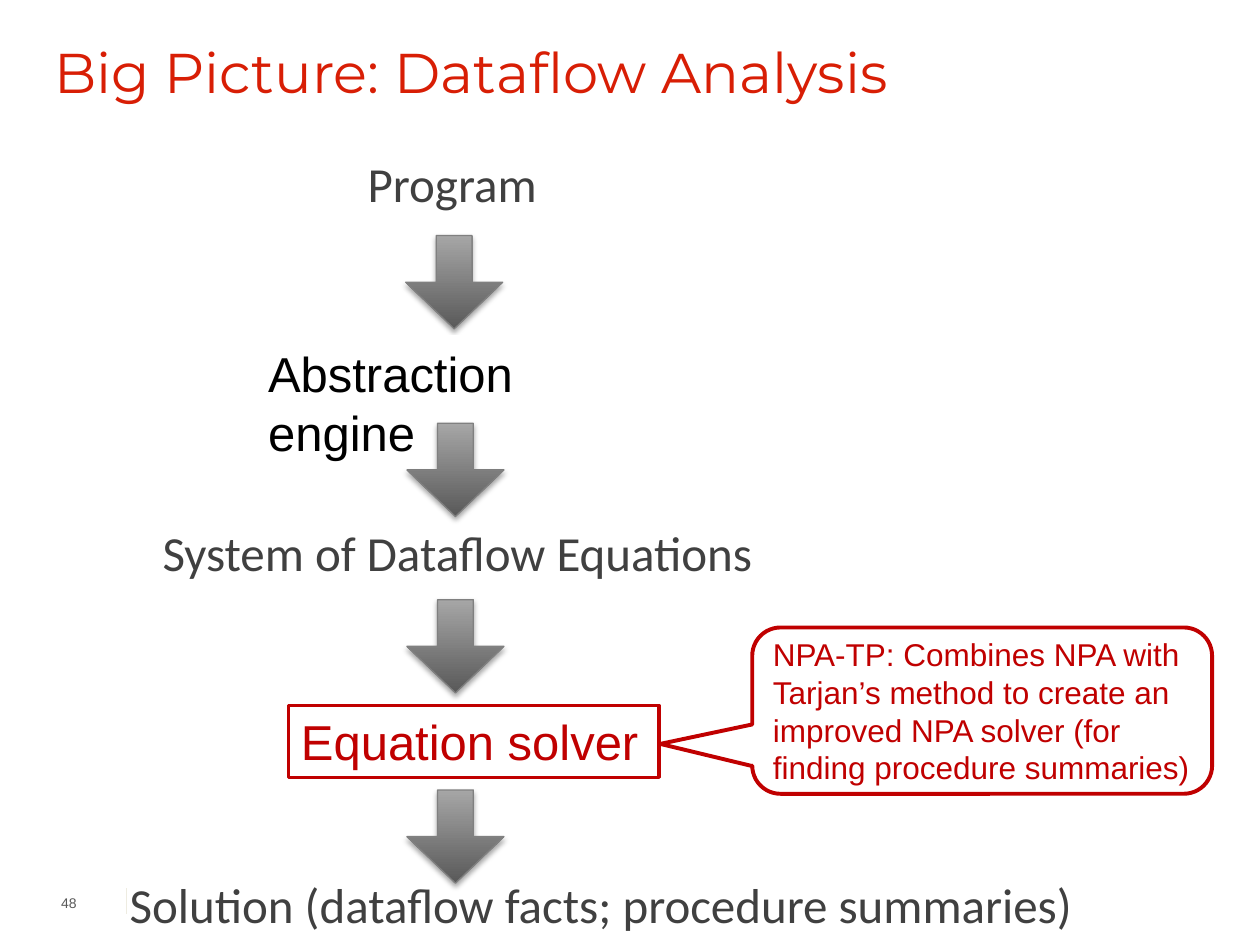
from dataclasses import dataclass
from typing import Optional

from lxml import etree
from pptx import Presentation
from pptx.dml.color import RGBColor
from pptx.enum import shapes, text
from pptx.oxml import ns, parse_xml
from pptx.util import Inches, Pt

COLORS = {
    "title": "D81E05", "stage": "404040", "solver": "C00000", "engine": "000000",
    "white": "FFFFFF", "dark": "595959", "light": "A6A6A6", "edge": "808080",
    "tick": "EEECE1",
}
SHADOW = (
    f'<a:effectLst {ns.nsdecls("a")}>'
    '<a:outerShdw blurRad="39370" dist="22860" dir="5400000" rotWithShape="0">'
    '<a:srgbClr val="000000"><a:alpha val="35000"/></a:srgbClr>'
    '</a:outerShdw></a:effectLst>'
)
ARROW_SIZE = (0.77, 0.74)


@dataclass
class Label:
    words: str
    box: tuple[float, float, float, float]
    color: str
    size: float = 28
    font: str = "Calibri"
    insets: tuple[float, float, float, float] = (0.1, 0.05, 0.1, 0.05)
    align: text.PP_ALIGN = text.PP_ALIGN.LEFT
    anchor: text.MSO_ANCHOR = text.MSO_ANCHOR.TOP


@dataclass
class Frame:
    label: Label
    line: str
    width: float
    fill: Optional[str] = None
    kind: shapes.MSO_SHAPE = shapes.MSO_SHAPE.RECTANGLE
    adjustments: tuple[float, ...] = ()


def rgb(name: str) -> RGBColor:
    return RGBColor.from_string(COLORS[name])


def write(shape, label: Label) -> None:
    frame = shape.text_frame
    frame.word_wrap = True
    frame.auto_size = text.MSO_AUTO_SIZE.NONE
    frame.vertical_anchor = label.anchor
    (frame.margin_left, frame.margin_top,
     frame.margin_right, frame.margin_bottom) = map(Inches, label.insets)
    paragraph = frame.paragraphs[0]
    paragraph.alignment = label.align
    run = paragraph.add_run()
    run.text = label.words
    run.font.size = Pt(label.size)
    run.font.name = label.font
    run.font.color.rgb = rgb(label.color)


def add_label(slide, label: Label) -> None:
    write(slide.shapes.add_textbox(*map(Inches, label.box)), label)


def add_frame(slide, frame: Frame) -> None:
    shape = slide.shapes.add_shape(frame.kind, *map(Inches, frame.label.box))
    shape.shadow.inherit = False
    for index, value in enumerate(frame.adjustments):
        shape.adjustments[index] = value
    if frame.fill:
        shape.fill.solid()
        shape.fill.fore_color.rgb = rgb(frame.fill)
    else:
        shape.fill.background()
    shape.line.color.rgb = rgb(frame.line)
    shape.line.width = Pt(frame.width)
    write(shape, frame.label)


def add_arrow(slide, left: float, top: float) -> None:
    arrow = slide.shapes.add_shape(
        shapes.MSO_SHAPE.DOWN_ARROW, *map(Inches, (left, top, *ARROW_SIZE)))
    arrow.adjustments[0] = 0.37
    arrow.adjustments[1] = 0.5
    arrow.fill.gradient()
    arrow.fill.gradient_angle = 90
    for stop, shade in zip(arrow.fill.gradient_stops, ("dark", "light")):
        stop.color.rgb = rgb(shade)
    arrow.line.color.rgb = rgb("edge")
    arrow.line.width = Pt(0.75)
    arrow._element.spPr.append(parse_xml(SHADOW))


def add_tick(slide) -> None:
    tick = slide.shapes.add_connector(
        shapes.MSO_CONNECTOR.STRAIGHT, *map(Inches, (1, 7.05, 1, 7.25)))
    tick.line.color.rgb = rgb("tick")
    tick.line.width = Pt(0.25)
    etree.SubElement(tick._element.spPr, ns.qn("a:effectLst"))


FLUSH = (0, 0, 0, 0)
STAGES = [
    Label("Program", (2.82, 1.17, 1.66, 0.54), "stage"),
    Label("System of Dataflow Equations", (1.29, 4.15, 4.7, 0.54), "stage", insets=FLUSH),
    Label("Solution (dataflow facts; procedure summaries)",
          (1.03, 6.94, 7.6, 0.54), "stage", insets=FLUSH),
]
ARROWS = [(3.22, 1.87), (3.23, 3.36), (3.23, 4.76), (3.23, 6.27)]
ENGINE = Frame(Label("Abstraction engine", (2.03, 2.68, 3.2, 0.57), "engine", font="Arial"),
               "white", 3, fill="white")
SOLVER = Frame(Label("Equation solver", (2.29, 5.6, 2.94, 0.57), "solver", font="Arial"),
               "solver", 2)
CALLOUT = Frame(
    Label("NPA-TP: Combines NPA with Tarjan’s method to create an improved NPA solver "
          "(for finding procedure summaries)",
          (5.97, 4.98, 3.65, 1.32), "solver", 18, "Arial", anchor=text.MSO_ANCHOR.MIDDLE),
    "solver", 2.25, kind=shapes.MSO_SHAPE.ROUNDED_RECTANGULAR_CALLOUT,
    adjustments=(-0.7, 0.2, 0.17))
PAGE_NUMBER = Label("48", (0.33, 7, 0.33, 0.33), "dark", 8, "Arial", (0, 0.05, 0.05, 0.05),
                    text.PP_ALIGN.RIGHT, text.MSO_ANCHOR.MIDDLE)
TITLE = Label("Big Picture: Dataflow Analysis", (0.33, 0.25, 9.42, 0.92), "title", 32, "Montserrat")


def main() -> None:
    deck = Presentation()
    deck.slide_width, deck.slide_height = Inches(10), Inches(7.5)
    slide = deck.slides.add_slide(deck.slide_layouts[5])

    # Title
    title = slide.shapes.title
    title.left, title.top, title.width, title.height = map(Inches, TITLE.box)
    write(title, TITLE)

    # Pipeline from program to solution
    add_tick(slide)
    for left, top in ARROWS:
        add_arrow(slide, left, top)
    for frame in (ENGINE, SOLVER, CALLOUT):
        add_frame(slide, frame)
    for stage in STAGES:
        add_label(slide, stage)

    # Footer
    add_label(slide, PAGE_NUMBER)
    deck.save("out.pptx")


if __name__ == "__main__":
    main()
